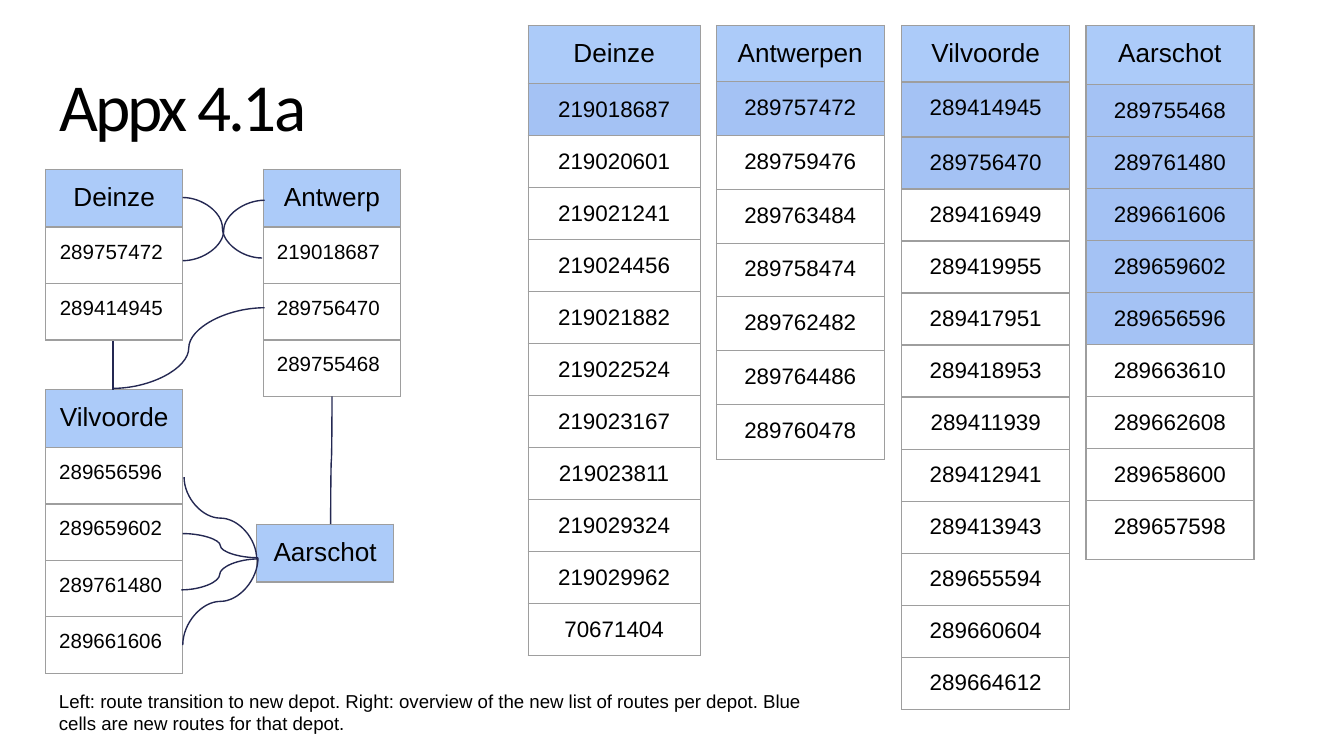
from lxml import etree
from pptx import Presentation
from pptx import util as u
from pptx.dml.color import RGBColor
from pptx.enum import shapes, text
from pptx.oxml import parse_xml
from pptx.oxml.ns import nsdecls, qn

HUES = {"ink": "000000", "head": "ACCBF9", "new": "A4C2F4",
        "edge": "9E9E9E", "link": "242852"}
INSET = u.Inches(0.1)
MID, LEFT = text.PP_ALIGN.CENTER, text.PP_ALIGN.LEFT
WIDE = 10
TALL = WIDE * 9 / 16
NODE = 1.02        # width of a depot in the route map
ROW = 0.38         # least row height in the overview; the text sets the rest
TOP = 0.19         # top of the overview

# depot, left, top, alignment, routes that move to it
MAP = [
    ("Deinze", 0.34, 1.26, MID, ["289757472 ", "289414945 "]),
    ("Antwerp", 1.96, 1.26, LEFT, ["219018687", "289756470", "289755468"]),
    ("Vilvoorde", 0.34, 2.9, LEFT,
     ["289656596", "289659602", "289761480", "289661606"]),
    ("Aarschot", 1.91, 3.9, LEFT, []),
]

# depot, left, width, row heights, count of new routes, routes
LISTS = [
    ("Deinze", 3.93, 1.28, [0.43] + [ROW] * 11, 1,
     ["219018687", "219020601", "219021241", "219024456", "219021882",
      "219022524", "219023167", "219023811", "219029324", "219029962",
      "70671404"]),
    ("Antwerpen", 5.33, 1.25, [0.41] + [0.4] * 6 + [0.41], 1,
     ["289757472", "289759476", "289763484", "289758474", "289762482",
      "289764486", "289760478"]),
    ("Vilvoorde", 6.71, 1.25, [0.42, 0.41] + [ROW] * 11, 2,
     ["289414945", "289756470", "289416949", "289419955", "289417951",
      "289418953", "289411939", "289412941", "289413943", "289655594",
      "289660604", "289664612"]),
    ("Aarschot", 8.08, 1.25, [0.44] + [ROW] * 8 + [0.44], 5,
     ["289755468", "289761480", "289661606", "289659602", "289656596",
      "289663610", "289662608", "289658600", "289657598"]),
]

# start and end of each link; steep ones leave and arrive vertically
STEEP = [((1.37, 3.55), (1.91, 4.16)), ((1.36, 4.8), (1.92, 4.15)),
         ((2.47, 2.95), (2.46, 3.9))]
FLAT = [((1.36, 3.97), (1.92, 4.15)), ((1.35, 4.39), (1.92, 4.16)),
        ((1.36, 1.94), (1.97, 1.49)), ((1.95, 1.92), (1.36, 1.47)),
        ((1.97, 2.29), (0.84, 2.89))]


def tint(name):
    return RGBColor.from_string(HUES[name])


def style(para, size, face="Arial", align=LEFT):
    para.alignment = align
    for run in para.runs:
        run.font.size = u.Pt(size)
        run.font.name = face
        run.font.color.rgb = tint("ink")


def pad(item):
    """Give a cell or text frame the same inset on all sides."""
    item.margin_left = item.margin_right = INSET
    item.margin_top = item.margin_bottom = INSET


def edge(cell):
    props = cell._tc.get_or_add_tcPr()
    for spot, side in enumerate("LRTB"):
        props.insert(spot, parse_xml(
            f'<a:ln{side} {nsdecls("a")} w="{u.Pt(0.75)}"><a:solidFill>'
            f'<a:srgbClr val="{HUES["edge"]}"/></a:solidFill></a:ln{side}>'))


def add_list(slide, head, routes, left, top, width, rows, size, align, new=0):
    """Draw a one-column table: a depot name above its routes."""
    frame = slide.shapes.add_table(
        len(rows), 1, u.Inches(left), u.Inches(top),
        u.Inches(width), u.Inches(sum(rows)))
    grid = frame.table
    grid.first_row = grid.horz_banding = False
    for i, (label, high) in enumerate(zip([head] + routes, rows)):
        grid.rows[i].height = u.Inches(high)
        cell = grid.cell(i, 0)
        cell.text_frame.text = label
        pad(cell)
        style(cell.text_frame.paragraphs[0], size if i else 14,
              align=align if i else MID)
        if i > new:
            cell.fill.background()
        else:
            cell.fill.solid()
            cell.fill.fore_color.rgb = tint("new" if i else "head")
        edge(cell)


def add_link(slide, start, end, kind=shapes.MSO_CONNECTOR.CURVE, steep=False):
    """Join two points; a steep curve is laid flat and turned by 90 degrees."""
    (x1, y1), (x2, y2) = start, end
    if steep:
        mx, my = (x1 + x2) / 2, (y1 + y2) / 2
        dx, dy = (x2 - x1) / 2, (y2 - y1) / 2
        x1, y1, x2, y2 = mx - dy, my + dx, mx + dy, my - dx
    link = slide.shapes.add_connector(
        kind, *(u.Inches(v) for v in (x1, y1, x2, y2)))
    link.line.color.rgb = tint("link")
    link.line.width = u.Pt(0.75)
    props = link._element.spPr
    etree.SubElement(props, qn("a:effectLst"))
    if steep:
        props.find(qn("a:xfrm")).set("rot", str(90 * 60000))


def add_title(slide):
    title = slide.shapes.title
    title.left, title.top = u.Inches(0.34), u.Inches(0.47)
    title.width, title.height = u.Inches(9.32), u.Inches(0.63)
    frame = title.text_frame
    frame.text = "Appx 4.1a"
    frame.vertical_anchor = text.MSO_ANCHOR.TOP
    pad(frame)
    para = frame.paragraphs[0]
    para.line_spacing = 0.85
    style(para, 36, "Calibri")
    para.runs[0].font._element.set("spc", "-150")


def add_note(slide):
    box = slide.shapes.add_textbox(
        u.Inches(0.34), u.Inches(5.03), u.Inches(5.99), u.Inches(0.54))
    frame = box.text_frame
    frame.word_wrap = True
    frame.text = ("Left: route transition to new depot. Right: overview of the "
                  "new list of routes per depot. Blue cells are new routes for "
                  "that depot.")
    pad(frame)
    style(frame.paragraphs[0], 10)


def main():
    deck = Presentation()
    deck.slide_width, deck.slide_height = u.Inches(WIDE), u.Inches(TALL)
    slide = deck.slides.add_slide(deck.slide_layouts[5])
    add_title(slide)
    for head, left, top, align, routes in MAP:
        rows = [0.43] + [0.42] * len(routes)
        add_list(slide, head, routes, left, top, NODE, rows, 11, align)
    for start, end in STEEP:
        add_link(slide, start, end, steep=True)
    for start, end in FLAT:
        add_link(slide, start, end)
    add_link(slide, (0.84, 2.54), (0.84, 2.9), shapes.MSO_CONNECTOR.STRAIGHT)
    for head, left, width, rows, new, routes in LISTS:
        add_list(slide, head, routes, left, TOP, width, rows, 12, MID, new)
    add_note(slide)
    deck.save("out.pptx")


if __name__ == "__main__":
    main()
